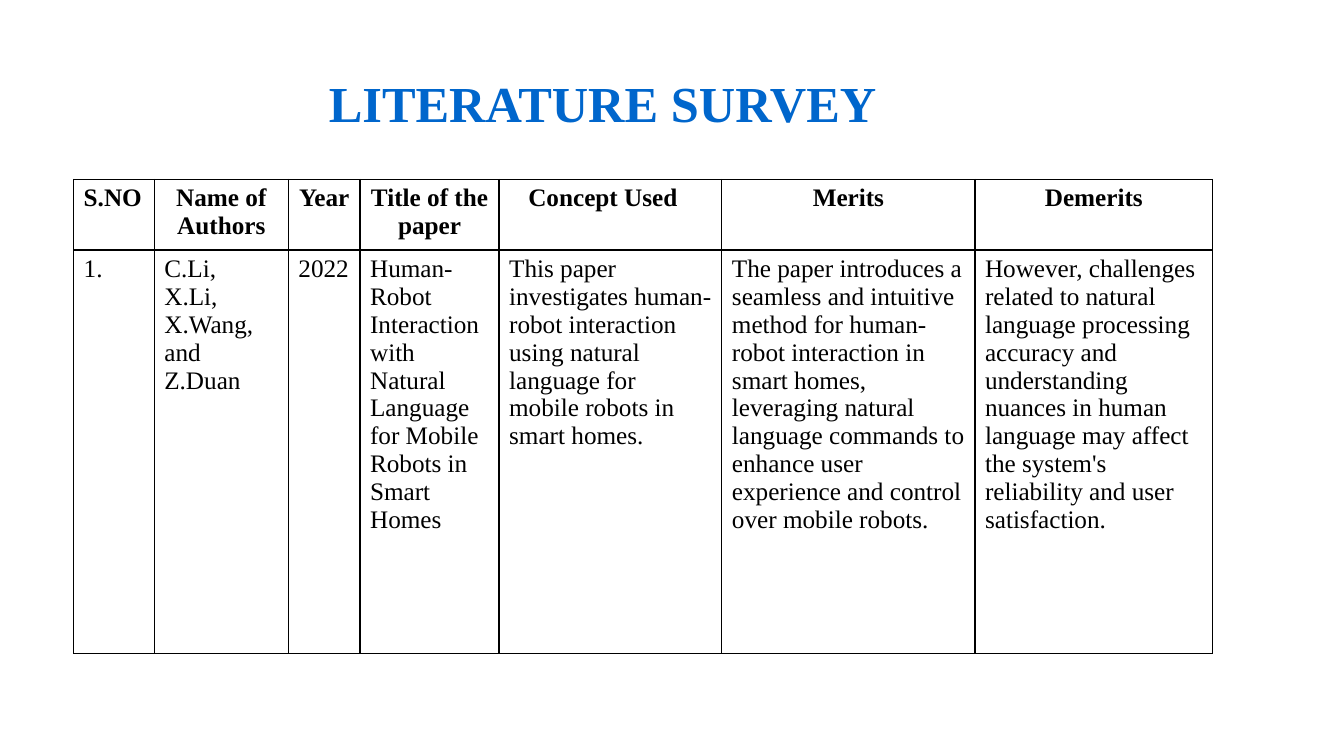
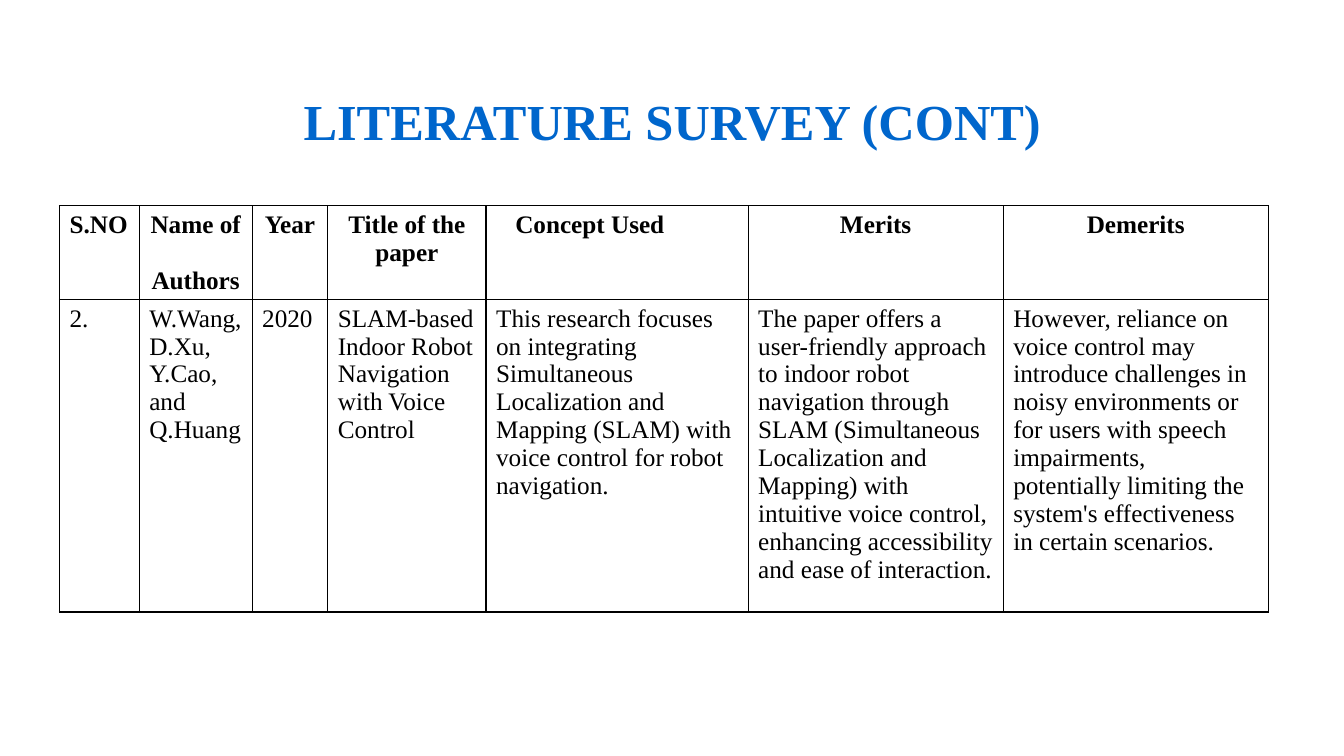
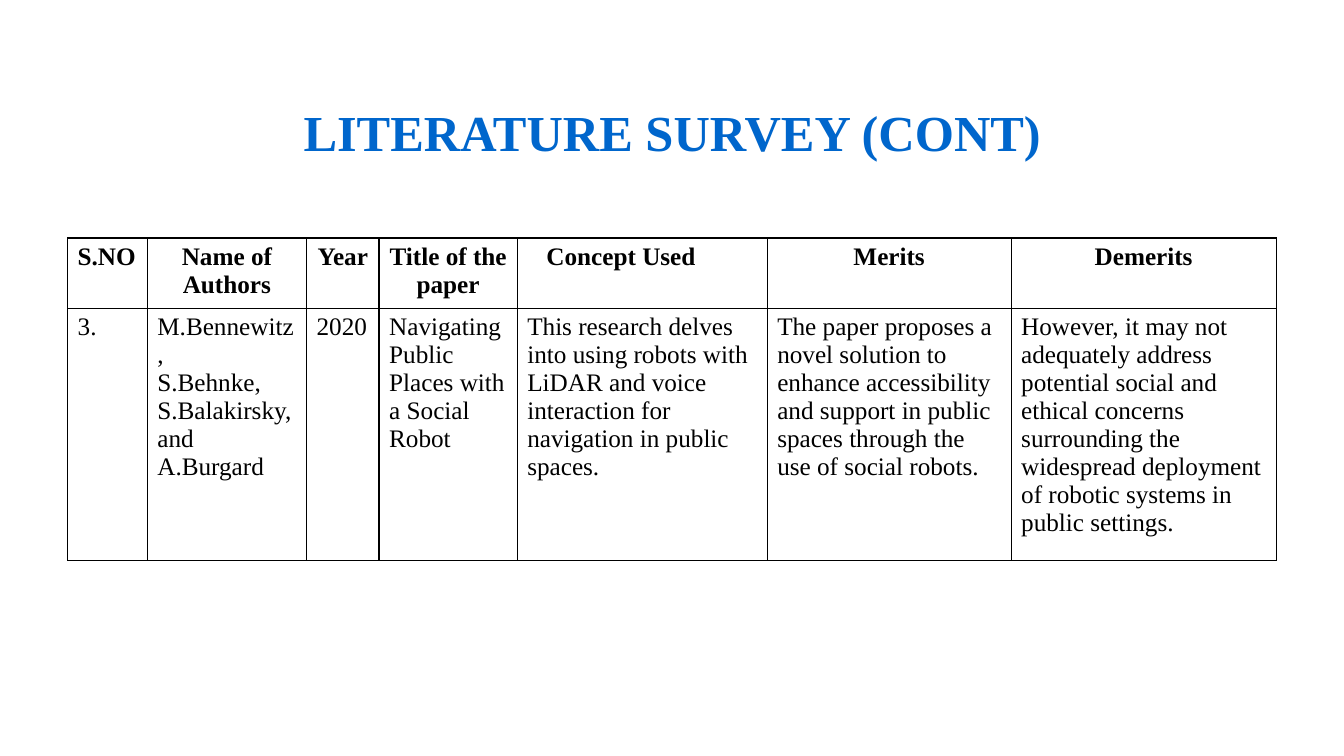
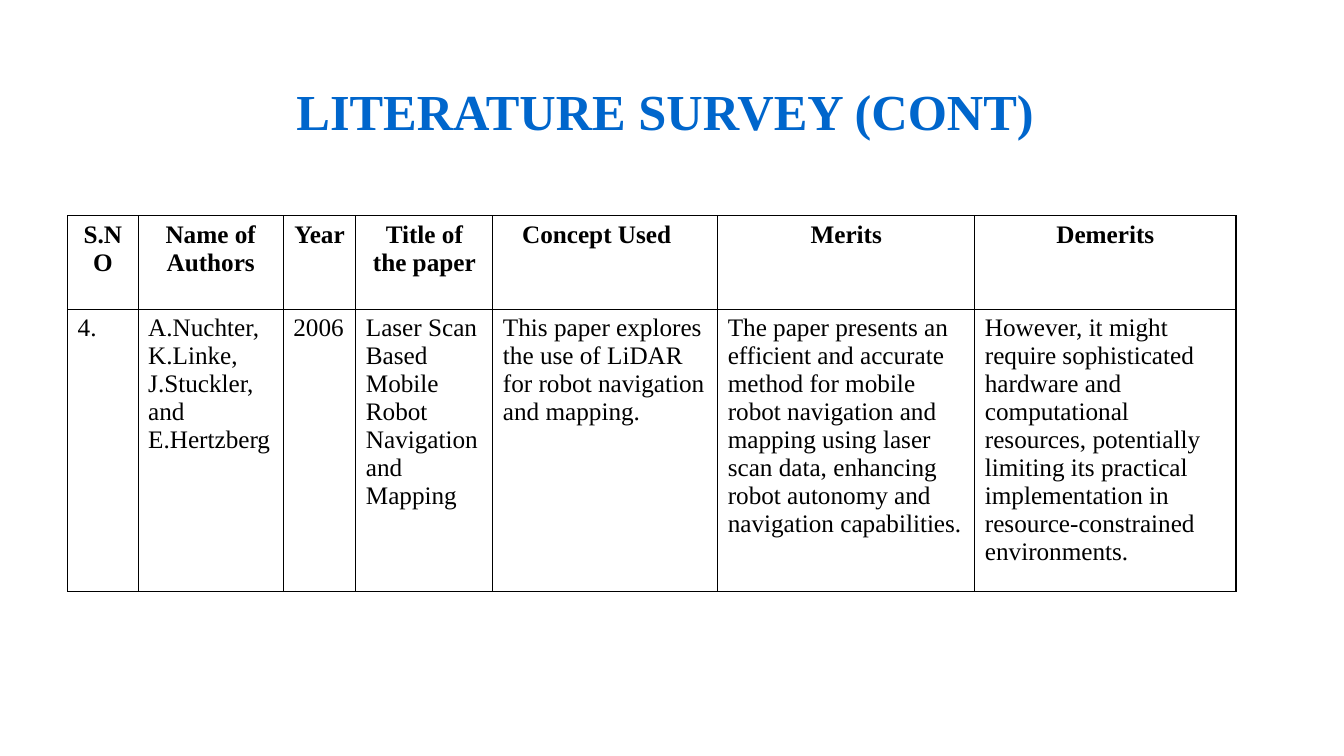
import pptx
import pptx.dml.color
import pptx.enum.text
import pptx.oxml
import pptx.oxml.ns
import pptx.util
from dataclasses import dataclass

ALIGN = pptx.enum.text.PP_ALIGN
RGB = pptx.dml.color.RGBColor


# Colours and type shared by all slides
@dataclass(frozen=True)
class Theme:
    font: str = "Times New Roman"
    blue: str = "0066CC"
    ink: str = "000000"
    title: int = 36
    text: int = 18
    line: int = 1


class Deck:
    """Holds the style and the current slide; lengths are percent of the slide."""

    def __init__(self, theme):
        self.theme = theme
        self.show = pptx.Presentation()
        self.show.slide_width = pptx.util.Inches(13.33)
        self.show.slide_height = pptx.util.Inches(7.5)
        self.slide = None

    def wide(self, share):
        return round(self.show.slide_width * share / 100)

    def high(self, share):
        return round(self.show.slide_height * share / 100)

    def box(self, left, top, width, height):
        return self.wide(left), self.high(top), self.wide(width), self.high(height)

    def style(self, frame, size, color, bold, align):
        for par in frame.paragraphs:
            par.alignment = align
            for run in par.runs:
                run.font.name = self.theme.font
                run.font.size = pptx.util.Pt(size)
                run.font.bold = bold
                run.font.color.rgb = RGB.from_string(color)

    def title(self, text, area):
        self.slide = self.show.slides.add_slide(self.show.slide_layouts[5])
        shape = self.slide.shapes.title
        shape.left, shape.top, shape.width, shape.height = self.box(*area)
        frame = shape.text_frame
        frame.text = text
        frame.auto_size = pptx.enum.text.MSO_AUTO_SIZE.NONE
        frame.vertical_anchor = pptx.enum.text.MSO_ANCHOR.MIDDLE
        self.style(frame, self.theme.title, self.theme.blue, True, ALIGN.CENTER)

    def border(self, cell):
        props = cell._tc.get_or_add_tcPr()
        space = pptx.oxml.ns.nsdecls("a")
        width = pptx.util.Pt(self.theme.line)
        for side in "LRTB":
            props.append(pptx.oxml.parse_xml(
                f'<a:ln{side} {space} w="{width}"><a:solidFill>'
                f'<a:srgbClr val="{self.theme.ink}"/></a:solidFill></a:ln{side}>'))

    def cell(self, cell, text, bold, align):
        self.border(cell)
        cell.fill.background()
        cell.text_frame.text = text
        self.style(cell.text_frame, self.theme.text, self.theme.ink, bold, align)

    def table(self, left, top, cols, rows, heads, body, first, gap):
        area = self.box(left, top, sum(cols), sum(rows))
        grid = self.slide.shapes.add_table(2, len(cols), *area).table
        grid.horz_banding = False
        for col, share in zip(grid.columns, cols):
            col.width = self.wide(share)
        for row, share in zip(grid.rows, rows):
            row.height = self.high(share)
        for i, (head, text) in enumerate(zip(heads, body)):
            align = {0: first, CONCEPT: ALIGN.LEFT}.get(i, ALIGN.CENTER)
            self.cell(grid.cell(0, i), head, True, align)
            self.cell(grid.cell(1, i), text, False, ALIGN.LEFT)
        # Indent of one heading, and the gap between the lines of another
        grid.cell(0, CONCEPT).margin_left = pptx.util.Inches(0.29)
        last = grid.cell(0, AUTHORS).text_frame.paragraphs[-1]
        last.space_before = pptx.util.Pt(gap)


AUTHORS, CONCEPT = 1, 4
HEADS = ["S.NO", "Name of\nAuthors", "Year", "Title of the paper",
         "Concept Used", "Merits", "Demerits"]
MORE = "LITERATURE SURVEY (CONT)"

# One entry for each slide
PAGES = [
    dict(
        title="LITERATURE SURVEY", area=(9.6, 6.13, 70.5, 14.8),
        left=5.48, top=23.73, rows=(9.33, 53.33),
        cols=(6, 9.98, 5.33, 10.35, 16.58, 18.83, 17.7),
        body=[
            "1.", "C.Li,\nX.Li,\nX.Wang, and\nZ.Duan", "2022",
            "Human-Robot Interaction with Natural Language for Mobile Robots "
            "in Smart Homes",
            "This paper investigates human-robot interaction using natural "
            "language for mobile robots in smart homes.",
            "The paper introduces a seamless and intuitive method for "
            "human-robot interaction in smart homes, leveraging natural "
            "language commands to enhance user experience and control over "
            "mobile robots.",
            "However, challenges related to natural language processing "
            "accuracy and understanding nuances in human language may affect "
            "the system's reliability and user satisfaction."]),
    dict(
        title=MORE, area=(5.03, 11.6, 90, 8.53),
        left=4.43, top=27.2, rows=(12.4, 41.33), gap=20,
        cols=(5.93, 8.4, 5.63, 11.78, 19.5, 18.98, 19.73),
        body=[
            "2.", "W.Wang,\nD.Xu,\nY.Cao, and\nQ.Huang", "2020",
            "SLAM-based Indoor Robot Navigation with Voice Control",
            "This research focuses on integrating Simultaneous Localization "
            "and Mapping (SLAM) with voice control for robot navigation.",
            "The paper offers a user-friendly approach to indoor robot "
            "navigation through SLAM (Simultaneous Localization and Mapping) "
            "with intuitive voice control, enhancing accessibility and ease "
            "of interaction.",
            "However, reliance on voice control may introduce challenges in "
            "noisy environments or for users with speech impairments, "
            "potentially limiting the system's effectiveness in certain "
            "scenarios."]),
    dict(
        title=MORE, area=(5.03, 13.07, 90, 8.53),
        left=5.03, top=31.47, rows=(9.33, 33.33),
        cols=(5.93, 11.85, 5.4, 10.28, 18.6, 18.15, 19.73),
        body=[
            "3.", "M.Bennewitz,\nS.Behnke,\nS.Balakirsky, and A.Burgard",
            "2020", "Navigating Public Places with a Social Robot",
            "This research delves into using robots with LiDAR and voice "
            "interaction for navigation in public spaces.",
            "The paper proposes a novel solution to enhance accessibility and "
            "support in public spaces through the use of social robots.",
            "However, it may not adequately address potential social and "
            "ethical concerns surrounding the widespread deployment of "
            "robotic systems in public settings."]),
    dict(
        title=MORE, area=(4.5, 10.27, 90, 8.53),
        left=5.03, top=28.53, rows=(12.4, 37.33), first=ALIGN.CENTER,
        cols=(5.25, 10.8, 5.4, 10.2, 16.73, 19.13, 19.43),
        body=[
            "4.", "A.Nuchter,\nK.Linke, J.Stuckler, and E.Hertzberg", "2006",
            "Laser Scan Based Mobile Robot Navigation and Mapping",
            "This paper explores the use of LiDAR for robot navigation and "
            "mapping.",
            "The paper presents an efficient and accurate method for mobile "
            "robot navigation and mapping using laser scan data, enhancing "
            "robot autonomy and navigation capabilities.",
            "However, it might require sophisticated hardware and "
            "computational resources, potentially limiting its practical "
            "implementation in resource-constrained environments."]),
]


def main():
    deck = Deck(Theme())
    for page in PAGES:
        deck.title(page["title"], page["area"])
        deck.table(page["left"], page["top"], page["cols"], page["rows"],
                   HEADS, page["body"], page.get("first", ALIGN.LEFT),
                   page.get("gap", 0))
    deck.show.save("out.pptx")


if __name__ == "__main__":
    main()
